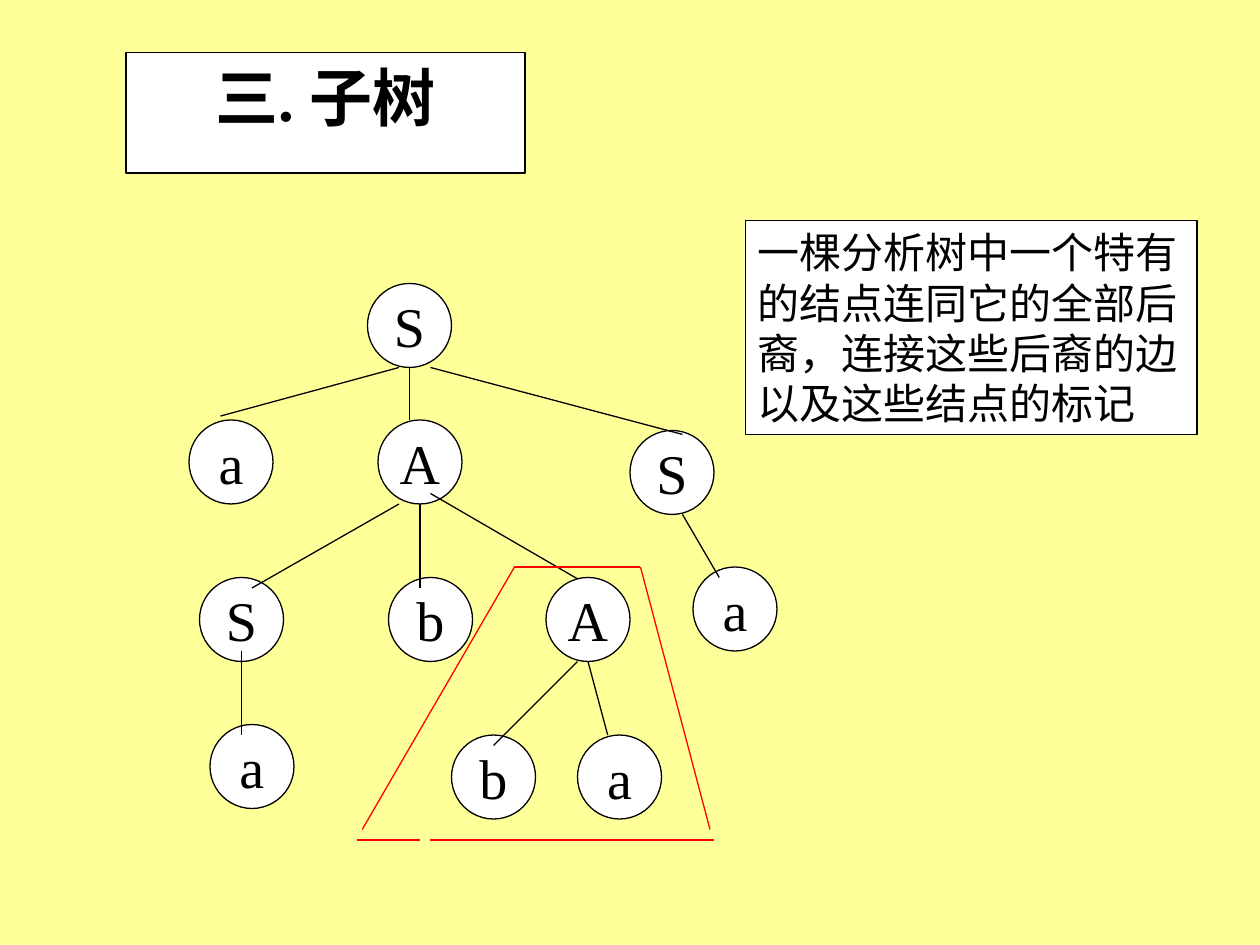
from dataclasses import dataclass

from lxml.etree import SubElement
from pptx import Presentation
from pptx.dml.color import RGBColor
from pptx.enum.shapes import MSO_CONNECTOR, MSO_SHAPE
from pptx.enum.text import MSO_ANCHOR, MSO_AUTO_SIZE, PP_ALIGN
from pptx.oxml.ns import qn
from pptx.util import Emu, Pt


@dataclass(frozen=True)
class Theme:
    background: RGBColor = RGBColor(0xFF, 0xFF, 0x99)
    paper: RGBColor = RGBColor(0xFF, 0xFF, 0xFF)
    ink: RGBColor = RGBColor(0, 0, 0)
    highlight: RGBColor = RGBColor(0xFF, 0, 0)
    font: str = "Times New Roman"
    title_size: int = 36
    node_size: int = 32
    body_size: int = 24
    line_width: float = 0.75


THEME = Theme()
EMU_PER_PX = 9525  # 96 px to the inch
NODE_SIZE = 64

# Tree nodes: label, left, top
NODES = [
    ("S", 280, 216),
    ("A", 288, 320), ("b", 296, 440), ("S", 152, 440),
    ("a", 144, 320), ("S", 480, 328),
    ("b", 344, 560), ("a", 160, 552),
    ("A", 416, 440), ("a", 440, 560), ("a", 528, 432),
]

# Lines: start x, start y, end x, end y
EDGES = [
    (312, 280, 312, 320), (320, 384, 320, 448),
    (304, 280, 168, 317), (328, 280, 520, 331),
    (304, 384, 192, 448), (328, 376, 440, 441),
    (184, 496, 184, 560), (448, 504, 463, 560),
    (440, 504, 376, 568), (520, 392, 548, 440),
]
SUBTREE_OUTLINE = [
    (392, 432, 488, 432), (328, 640, 544, 640),
    (392, 432, 276, 632), (488, 432, 541, 632),
    (272, 640, 320, 640),
]


def px(value):
    return Emu(value * EMU_PER_PX)


def set_attributes(target, values):
    for name, value in values.items():
        setattr(target, name, value)


def add_text_shape(slide, kind, box, text, size, frame_format, paragraph_format, bold=False):
    """Add a white, black-edged shape holding one paragraph."""
    shape = slide.shapes.add_shape(kind, *map(px, box))
    shape.shadow.inherit = False
    shape.fill.solid()
    shape.fill.fore_color.rgb = THEME.paper
    shape.line.color.rgb = THEME.ink
    shape.line.width = Pt(THEME.line_width)

    frame = shape.text_frame
    set_attributes(frame, {"word_wrap": True, "vertical_anchor": MSO_ANCHOR.TOP} | frame_format)
    paragraph = frame.paragraphs[0]
    set_attributes(paragraph, paragraph_format)
    run = paragraph.add_run()
    run.text = text
    set_attributes(run.font, {"name": THEME.font, "size": Pt(size), "bold": bold})
    run.font.color.rgb = THEME.ink


def add_node(slide, label, left, top):
    add_text_shape(
        slide, MSO_SHAPE.OVAL, (left, top, NODE_SIZE, NODE_SIZE), label, THEME.node_size,
        {"word_wrap": False, "vertical_anchor": MSO_ANCHOR.MIDDLE},
        {"alignment": PP_ALIGN.CENTER},
    )


def add_line(slide, ends, color):
    line = slide.shapes.add_connector(MSO_CONNECTOR.STRAIGHT, *map(px, ends))
    line.line.color.rgb = color
    line.line.width = Pt(THEME.line_width)
    SubElement(line._element.spPr, qn("a:effectLst"))


def main():
    presentation = Presentation()
    presentation.slide_width, presentation.slide_height = px(960), px(720)
    slide = presentation.slides.add_slide(presentation.slide_layouts[6])
    slide.background.fill.solid()
    slide.background.fill.fore_color.rgb = THEME.background

    # Definition
    add_text_shape(
        slide, MSO_SHAPE.RECTANGLE, (568, 168, 344, 163),
        "一棵分析树中一个特有的结点连同它的全部后裔，连接这些后裔的边以及这些结点的标记",
        THEME.body_size,
        {"auto_size": MSO_AUTO_SIZE.SHAPE_TO_FIT_TEXT},
        {"alignment": PP_ALIGN.LEFT, "space_before": Pt(15)},
    )

    # Parse tree, with the subtree outlined
    for node in NODES:
        add_node(slide, *node)
    for lines, color in ((EDGES, THEME.ink), (SUBTREE_OUTLINE, THEME.highlight)):
        for ends in lines:
            add_line(slide, ends, color)

    # Title
    add_text_shape(
        slide, MSO_SHAPE.RECTANGLE, (96, 40, 304, 92), "三. 子树", THEME.title_size,
        {}, {"alignment": PP_ALIGN.CENTER, "space_before": Pt(9)}, bold=True,
    )

    presentation.save("out.pptx")


if __name__ == "__main__":
    main()
